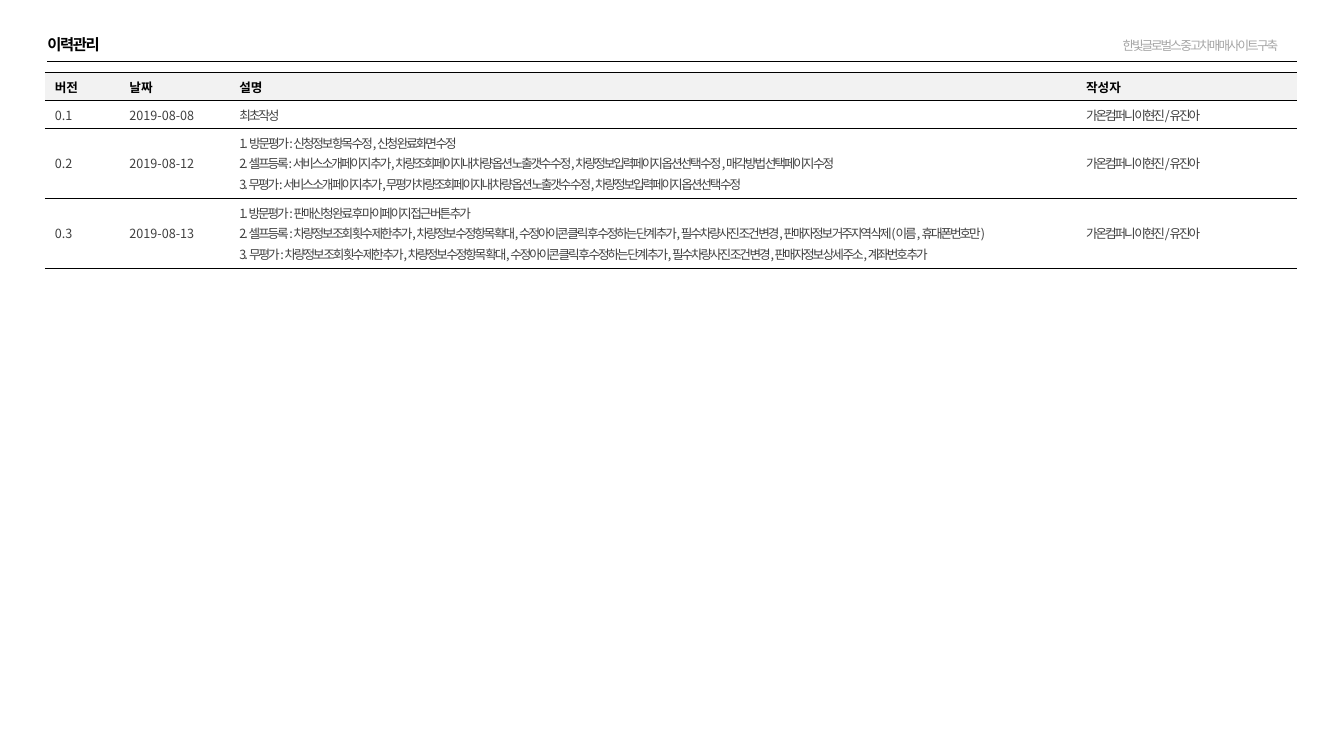
from lxml import etree
from pptx import Presentation
from pptx.dml.color import RGBColor
from pptx.enum import shapes, text
from pptx.oxml import ns
from pptx.util import Pt

COLORS = {"black": "000000", "body": "404040", "muted": "A6A6A6",
          "header": "F2F2F2", "white": "FFFFFF"}
KOREAN = "Noto Sans CJK KR"


def style_text(paragraph, size, color, bold=False, spacing=0, face=KOREAN):
    """Format every run of a paragraph, with letter spacing in points."""
    for run in paragraph.runs:
        run.font.size = Pt(size)
        run.font.bold = bold
        run.font.name = face
        run.font.color.rgb = RGBColor.from_string(COLORS[color])
        props = run.font._element
        props.set("spc", str(int(spacing * 100)))
        etree.SubElement(props, ns.qn("a:ea")).set("typeface", KOREAN)


def set_borders(cell, top, bottom):
    """Give a cell black top and bottom rules, and no side borders."""
    props = cell._tc.get_or_add_tcPr()
    widths = {"a:lnL": 0, "a:lnR": 0, "a:lnT": top, "a:lnB": bottom}
    for index, (side, width) in enumerate(widths.items()):
        border = etree.Element(ns.qn(side), w=str(Pt(width)))
        if width:
            fill = etree.SubElement(border, ns.qn("a:solidFill"))
            etree.SubElement(fill, ns.qn("a:srgbClr"), val=COLORS["black"])
        else:
            etree.SubElement(border, ns.qn("a:noFill"))
        props.insert(index, border)


deck = Presentation()
deck.slide_width, deck.slide_height = Pt(960), Pt(540)
slide = deck.slides.add_slide(deck.slide_layouts[6])

# Page heading
header_rule = slide.shapes.add_connector(
    shapes.MSO_CONNECTOR.STRAIGHT, Pt(33.8), Pt(43.5), Pt(926.6), Pt(43.5))
header_rule.line.width = Pt(0.25)
header_rule.line.color.rgb = RGBColor.from_string(COLORS["black"])
etree.SubElement(header_rule._element.spPr, ns.qn("a:effectLst"))

project = slide.shapes.add_textbox(Pt(794.9), Pt(23.8), Pt(139), Pt(18)).text_frame
project.word_wrap = False
project.text = "한빛글로벌스 중고차매매사이트 구축"
style_text(project.paragraphs[0], 9, "muted", spacing=-1.5, face="Arial")

title = slide.shapes.add_textbox(Pt(33.8), Pt(26.6), Pt(324), Pt(12.2)).text_frame
title.word_wrap = True
title.margin_left = title.margin_right = title.margin_top = title.margin_bottom = 0
title.text = "이력관리"
title.paragraphs[0].line_spacing = 0.9
style_text(title.paragraphs[0], 11, "black", bold=True, spacing=-1, face="Arial")

# Revision history
AUTHORS = "가온컴퍼니 이현진/유진아"
history = [
    ("버전", "날짜", "설명", "작성자"),
    ("0.1", "2019-08-08", "최초작성", AUTHORS),
    ("0.2", "2019-08-12",
     "1.  방문평가: 신청정보 항목 수정, 신청 완료화면 수정\n"
     "2. 셀프등록: 서비스 소개페이지 추가, 차량조회페이지내 차량 옵션 노출갯수 수정, "
     "차량정보입력페이지 옵션선택 수정 , 매각방법 선택페이지 수정\n"
     "3. 무평가: 서비스 소개 페이지 추가,무평가 차량조회페이지내 차량 옵션 노출갯수 수정, "
     "차량정보입력페이지 옵션선택 수정", AUTHORS),
    ("0.3", "2019-08-13",
     "1. 방문평가 : 판매신청 완료 후 마이페이지 접근 버튼 추가\n"
     "2. 셀프등록 : 차량정보 조회 횟수 제한 추가, 차량정보 수정항목 확대, "
     "수정아이콘 클릭 후 수정하는 단계 추가, 필수차량사진 조건 변경, "
     "판매자정보 거주지역 삭제(이름,  휴대폰번호만)\n"
     "3.  무평가 : 차량정보 조회 횟수 제한 추가, 차량정보 수정항목 확대, "
     "수정아이콘 클릭 후 수정하는 단계 추가, 필수차량사진 조건 변경, "
     "판매자정보 상세 주소, 계좌번호 추가", AUTHORS),
]
column_widths = [53.3, 78.5, 604.8, 158]
row_heights = [20, 20, 50, 50, 13, 22, 13, 32, 32, 13, 32, 32, 17, 17]
rules = [0.5, 0.5, 1, 1, 1]  # above each filled row, then below the last

revisions = slide.shapes.add_table(
    len(row_heights), len(column_widths), Pt(32), Pt(51.8),
    Pt(sum(column_widths)), Pt(sum(row_heights))).table
revisions.first_row = revisions.horz_banding = False
for column, width in zip(revisions.columns, column_widths):
    column.width = Pt(width)

for r, height in enumerate(row_heights):
    revisions.rows[r].height = Pt(height)
    is_header = r == 0
    for c in range(len(column_widths)):
        cell = revisions.cell(r, c)
        cell.vertical_anchor = text.MSO_ANCHOR.MIDDLE
        cell.fill.solid()
        cell.fill.fore_color.rgb = RGBColor.from_string(
            COLORS["header" if is_header else "white"])
        if r >= len(history):
            set_borders(cell, rules[-1] if r == len(history) else 0, 0)
            cell.text_frame.paragraphs[0]._p.get_or_add_endParaRPr().set("sz", "900")
            continue
        set_borders(cell, rules[r], rules[r + 1])
        cell.text_frame.text = history[r][c]
        for paragraph in cell.text_frame.paragraphs:
            before = etree.SubElement(paragraph._p.get_or_add_pPr(), ns.qn("a:spcBef"))
            etree.SubElement(before, ns.qn("a:spcPct"), val="20000")
            style_text(paragraph, 9, "black" if is_header else "body", bold=is_header,
                       spacing=-1.5 if c >= 2 and not is_header else 0)

deck.save("out.pptx")
